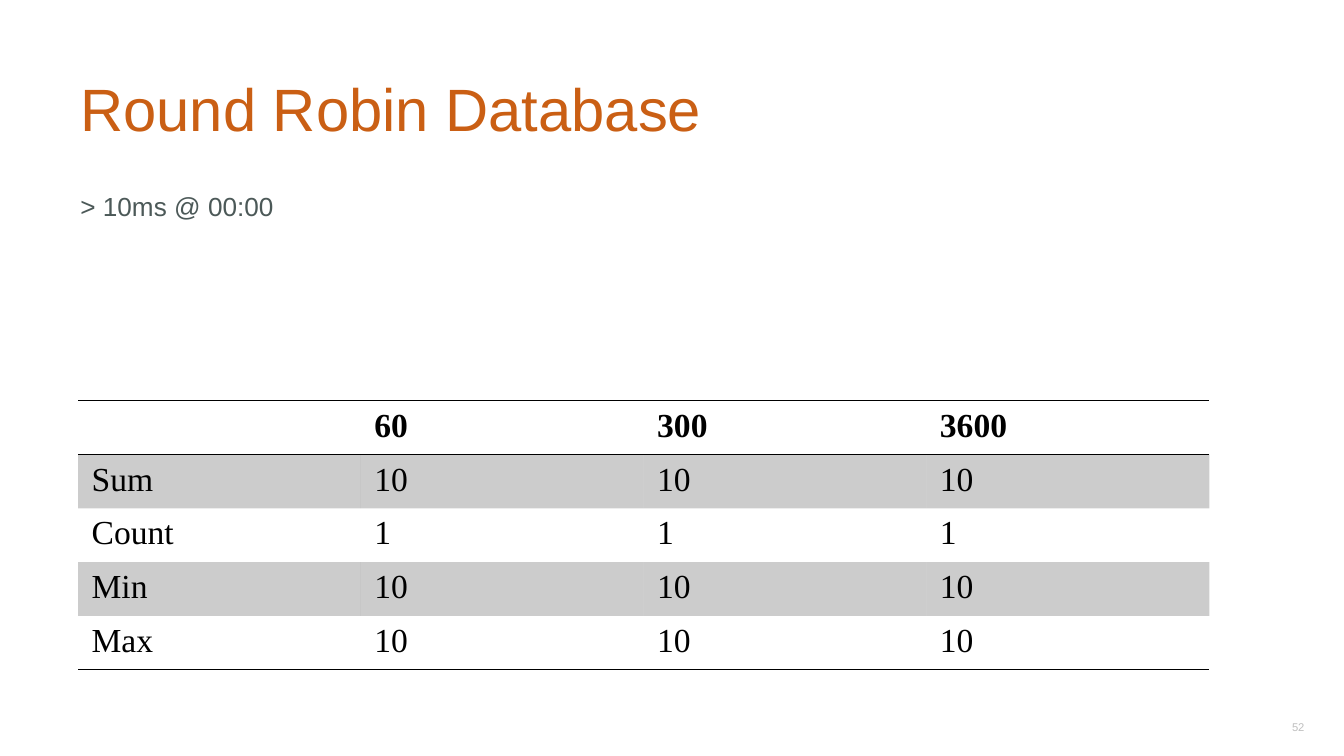
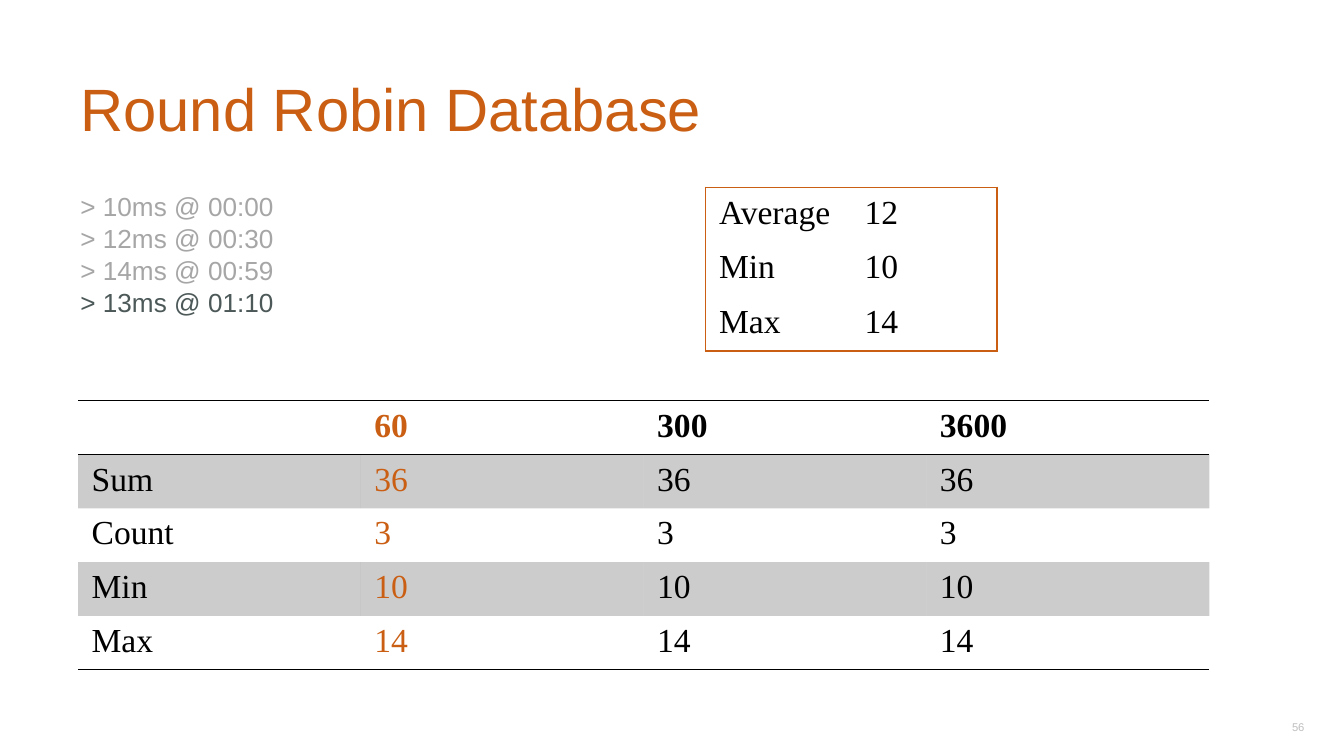
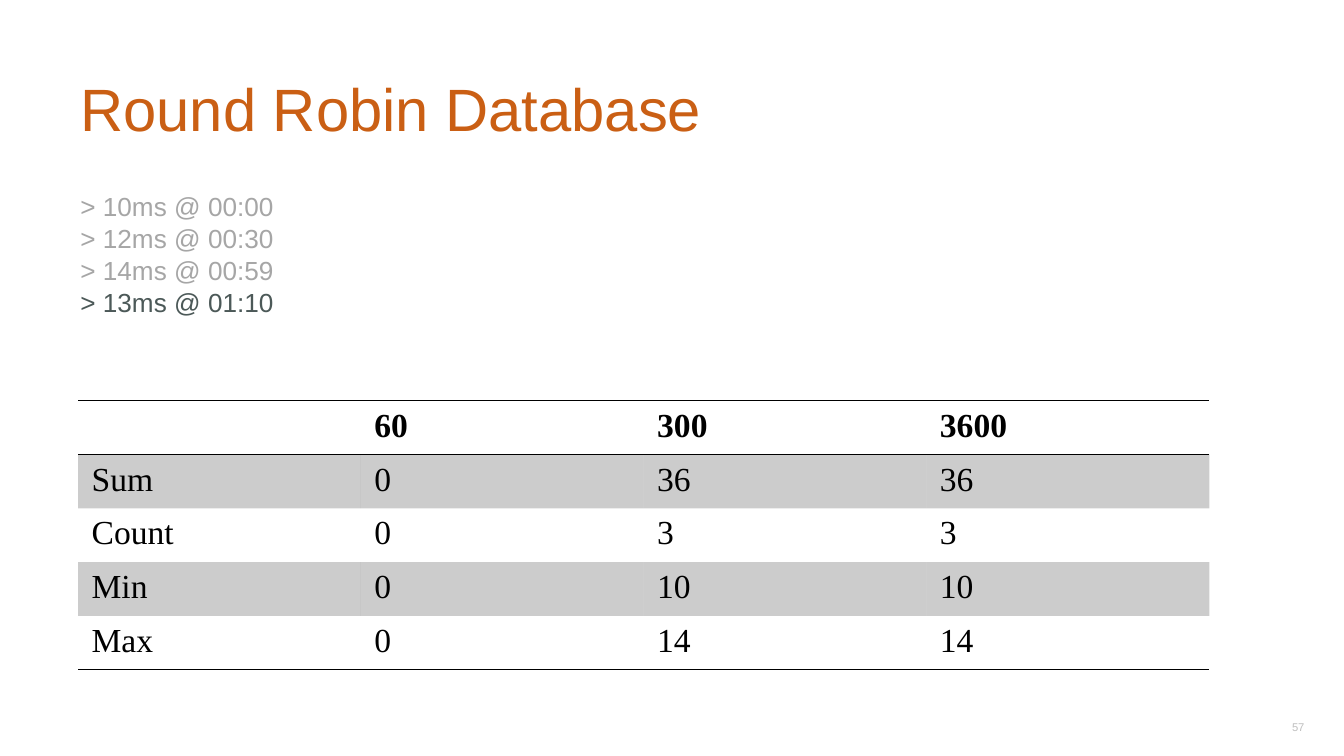
from dataclasses import dataclass

from lxml.etree import SubElement as Sub
from pptx import Presentation
from pptx.dml.color import RGBColor as Rgb
from pptx.enum.text import MSO_ANCHOR as Anchor, PP_ALIGN as Align
from pptx.oxml.ns import qn
from pptx.util import Inches, Pt


@dataclass(frozen=True)
class Theme:
    accent: str = "CA5F14"
    body: str = "4C5958"
    faded: str = "A6A6A6"
    number: str = "BFBFBF"
    ink: str = "000000"
    sans: str = "Arial"
    serif: str = "Times New Roman"
    title_size: int = 32
    body_size: int = 14
    cell_size: int = 18
    number_size: int = 6
    band_alpha: int = 20
    plain_style: str = "{2D5ABB26-0587-4C30-8999-92F81FD0307C}"


THEME = Theme()
WIDTH = Inches(10)
HEIGHT = WIDTH * 9 // 16
COL, ROW = WIDTH / 100, HEIGHT / 100
TITLE = "Round Robin Database"
SPANS = ["60", "300", "3600"]
STATS = ["Sum", "Count", "Min", "Max"]
LOG = ["> 10ms @ 00:00", "> 12ms @ 00:30", "> 14ms @ 00:59", "> 13ms @ 01:10"]


def place(left, top, width, height):
    return [round(n) for n in (left * COL, top * ROW, width * COL, height * ROW)]


def add_run(para, text, font, size, color, bold=False):
    run = para.add_run()
    run.text = text
    run.font.name = font
    run.font.size = Pt(size)
    run.font.bold = bold
    run.font.color.rgb = Rgb.from_string(color)


def add_text(slide, area, lines, size, anchor=Anchor.TOP, align=Align.LEFT, spacing=1.0):
    frame = slide.shapes.add_textbox(*place(*area)).text_frame
    frame.word_wrap = True
    frame.vertical_anchor = anchor
    frame.margin_left = frame.margin_right = Inches(0.1)
    frame.margin_top = frame.margin_bottom = Inches(0.1)
    for index, (text, color) in enumerate(lines):
        para = frame.add_paragraph() if index else frame.paragraphs[0]
        para.alignment = align
        para.line_spacing = spacing
        add_run(para, text, THEME.sans, size, color)


def add_grid(slide, left, top, width, heights, texts):
    count = len(texts[0])
    area = place(left, top, width * count, sum(heights))
    table = slide.shapes.add_table(len(texts), count, *area).table
    table.first_row = table.horz_banding = False
    table._tbl.tblPr.find(qn("a:tableStyleId")).text = THEME.plain_style
    for column in table.columns:
        column.width = round(width * COL)
    for row, height in zip(table.rows, heights):
        row.height = round(height * ROW)
    return table


def set_edges(cell, sides, color):
    props = cell._tc.get_or_add_tcPr()
    for side in "LRTB":
        if side in sides:
            line = Sub(props, qn(f"a:ln{side}"), w=str(Pt(1)))
            fill = Sub(line, qn("a:solidFill"))
            Sub(fill, qn("a:srgbClr"), val=color)


def set_fill(cell, band):
    if not band:
        cell.fill.background()
        return
    cell.fill.solid()
    cell.fill.fore_color.rgb = Rgb.from_string(THEME.ink)
    color = cell._tc.tcPr.find(f".//{qn('a:srgbClr')}")
    Sub(color, qn("a:alpha"), val=str(THEME.band_alpha * 1000))


def set_text(cell, text, color=THEME.ink, bold=False):
    if text:
        para = cell.text_frame.paragraphs[0]
        add_run(para, text, THEME.serif, THEME.cell_size, color, bold)
    else:
        cell.margin_top = cell.margin_bottom = 0


def add_stats(slide, values, hot=None):
    texts = [["", *SPANS]] + [[stat, *row] for stat, row in zip(STATS, values)]
    heights = [6.6] + [7.11] * len(STATS)
    table = add_grid(slide, 5.82, 53, 21.04, heights, texts)
    for r, row in enumerate(texts):
        sides = "TB" if r == 0 else "B" if r == len(STATS) else ""
        for c, text in enumerate(row):
            cell = table.cell(r, c)
            set_edges(cell, sides, THEME.ink)
            set_fill(cell, r % 2 == 1)
            set_text(cell, text, THEME.accent if c == hot else THEME.ink, r == 0)


def add_result(slide, pairs):
    table = add_grid(slide, 52.5, 24.8, 10.84, [7.22] * len(pairs), pairs)
    last = len(pairs) - 1
    for r, pair in enumerate(pairs):
        ends = ("T" if r == 0 else "") + ("B" if r == last else "")
        for c, text in enumerate(pair):
            cell = table.cell(r, c)
            set_edges(cell, "LR"[c] + ends, THEME.accent)
            set_fill(cell, False)
            set_text(cell, text)


def add_page(deck, number, log, values, hot=None):
    slide = deck.slides.add_slide(deck.slide_layouts[6])
    add_text(slide, (5, 4, 90, 16.7), [(TITLE, THEME.accent)],
             THEME.title_size, Anchor.BOTTOM)
    lines = [(text, THEME.faded) for text in log[:-1]] + [(log[-1], THEME.body)]
    add_text(slide, (5, 23.3, 90, 72.4), lines, THEME.body_size, spacing=1.02)
    add_text(slide, (93.6, 92.3, 6, 7.7), [(number, THEME.number)],
             THEME.number_size, Anchor.MIDDLE, Align.CENTER)
    add_stats(slide, values, hot)
    return slide


def main():
    deck = Presentation()
    deck.slide_width, deck.slide_height = WIDTH, HEIGHT
    first, final = ["10", "1", "10", "10"], ["36", "3", "10", "14"]
    add_page(deck, "52", LOG[:1], [[n] * 3 for n in first])
    slide = add_page(deck, "56", LOG, [[n] * 3 for n in final], hot=1)
    add_result(slide, [("Average", "12"), ("Min", "10"), ("Max", "14")])
    add_page(deck, "57", LOG, [["0", n, n] for n in final])
    deck.save("out.pptx")


if __name__ == "__main__":
    main()
